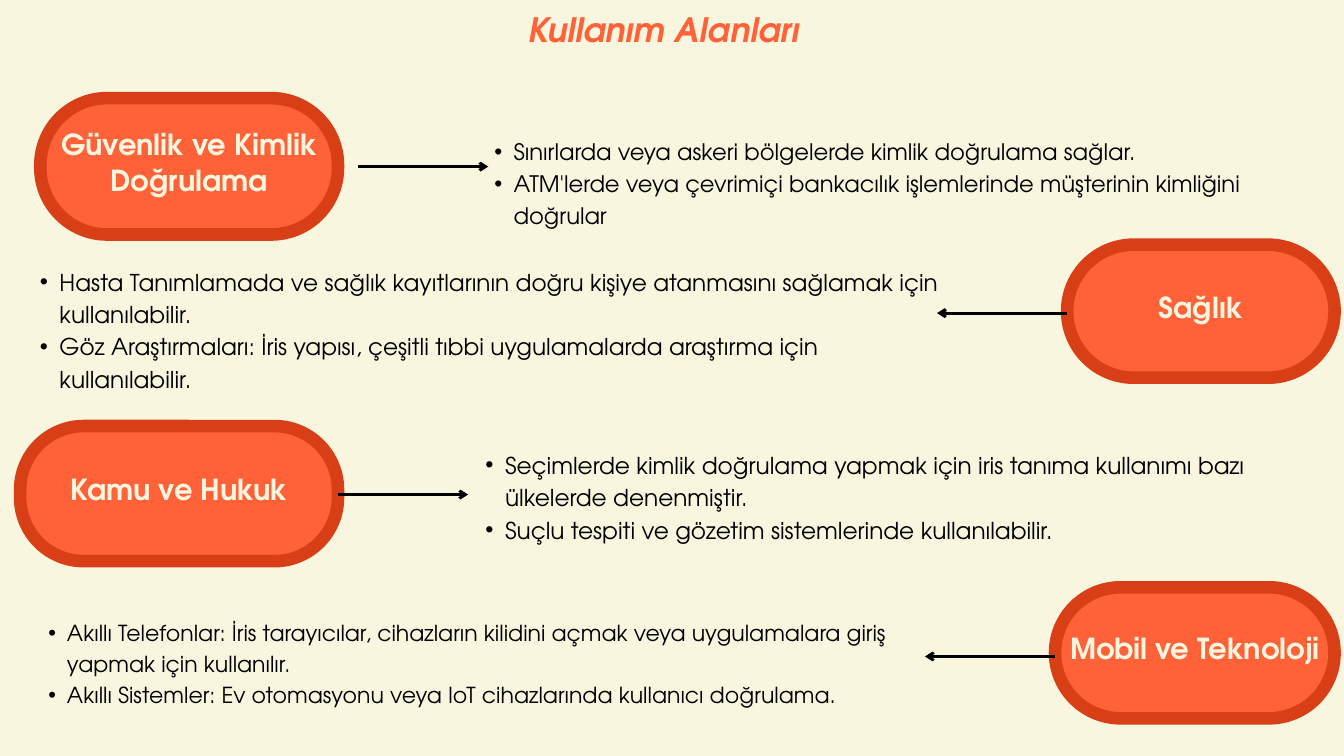
from lxml.etree import SubElement
from pptx import Presentation
from pptx.dml.color import RGBColor
from pptx.enum.shapes import MSO_CONNECTOR, MSO_SHAPE
from pptx.enum.text import MSO_ANCHOR, PP_ALIGN
from pptx.oxml.ns import qn
from pptx.util import Inches, Pt

HUES = {"cream": "F8F6DF", "coral": "FF6238", "rust": "D83F16", "ink": "000000"}
WIDE, HIGH = Inches(20), Inches(11.25)
FACE = "TeX Gyre Adventor"
EDGES = ("margin_left", "margin_top", "margin_right", "margin_bottom")
REACH = 9.68
LIFT = 1.38

AREAS = [
    {"box": (3, 12.98, 22.15, 18.04), "curve": 0.49, "name": "Güvenlik ve Kimlik Doğrulama",
     "side": 1, "gap": 1.5, "drop": 0.04, "list": (35.35, 17.69, 63.1, 8.18), "size": 24.3,
     "items": ["Sınırlarda veya askeri bölgelerde kimlik doğrulama sağlar.",
               "ATM'lerde veya çevrimiçi bankacılık işlemlerinde müşterinin kimliğini doğrular"]},
    {"box": (79.4, 32.36, 19.9, 17.6), "curve": 0.5, "name": "Sağlık",
     "side": -1, "gap": 0, "drop": 0.26, "list": (1.5, 34.84, 68.85, 12.62), "size": 24.8,
     "items": ["Hasta Tanımlamada ve sağlık kayıtlarının doğru kişiye atanmasını sağlamak için kullanılabilir.",
               "Göz Araştırmaları: İris yapısı, çeşitli tıbbi uygulamalarda araştırma için kullanılabilir."]},
    {"box": (1.5, 56.36, 23.65, 17.87), "curve": 0.47, "name": "Kamu ve Hukuk",
     "side": 1, "gap": 0, "drop": 0.12, "list": (34.65, 59.02, 64.65, 16.89), "size": 24.9,
     "items": ["Seçimlerde kimlik doğrulama yapmak için iris tanıma kullanımı bazı ülkelerde denenmiştir.",
               "Suçlu tespiti ve gözetim sistemlerinde kullanılabilir."]},
    {"box": (78.5, 77.69, 20.8, 17.33), "curve": 0.5, "name": "Mobil ve Teknoloji",
     "side": -1, "gap": 0, "drop": 0.48, "list": (2.2, 81.42, 64.85, 16.18), "size": 23.6,
     "items": ["Akıllı Telefonlar: İris tarayıcılar, cihazların kilidini açmak veya uygulamalara giriş yapmak için kullanılır.",
               "Akıllı Sistemler: Ev otomasyonu veya IoT cihazlarında kullanıcı doğrulama."]},
]


def hue(name):
    return RGBColor.from_string(HUES[name])


def place(box):
    x, y, w, h = box
    return [int(part * full / 100) for part, full in zip((x, y, w, h), (WIDE, HIGH) * 2)]


def dress(thing, form):
    for key, val in form.items():
        setattr(thing, key, val)


def frame(shape, inset, anchor):
    dress(shape.text_frame, {"word_wrap": True, "vertical_anchor": anchor,
                             **dict.fromkeys(EDGES, Inches(inset))})
    return shape.text_frame


def write(para, text, size, tint, lead, align=PP_ALIGN.LEFT, **font):
    dress(para, {"alignment": align, "line_spacing": Pt(lead),
                 "space_before": Pt(0), "space_after": Pt(0)})
    run = para.add_run()
    run.text = text
    dress(run.font, {"name": FACE, "size": Pt(size), **font})
    run.font.color.rgb = hue(tint)


def bullet(para, size):
    props = para._p.get_or_add_pPr()
    step = Pt(size * 1.7)
    props.set("marL", str(step))
    props.set("indent", str(-step // 2))
    SubElement(props, qn("a:buFont"), typeface="Arial")
    SubElement(props, qn("a:buChar"), char="•")


def head(slide, box):
    title = slide.shapes.title
    dress(title, dict(zip(("left", "top", "width", "height"), place(box))))
    para = frame(title, 0, MSO_ANCHOR.TOP).paragraphs[0]
    write(para, "Kullanım Alanları", 36, "coral", 36, bold=True, italic=True)


def pill(slide, box, curve, name):
    x, y, w, h = box
    shape = slide.shapes.add_shape(MSO_SHAPE.ROUNDED_RECTANGLE, *place(box))
    shape.adjustments[0] = curve
    shape.shadow.inherit = False
    shape.fill.solid()
    shape.fill.fore_color.rgb = hue("coral")
    shape.line.color.rgb = hue("rust")
    shape.line.width = Pt(13.5)
    label = slide.shapes.add_textbox(*place((x, y - LIFT, w, h + LIFT)))
    para = frame(label, 0.22, MSO_ANCHOR.MIDDLE).paragraphs[0]
    write(para, name, 31, "cream", 38.4, PP_ALIGN.CENTER, bold=True)


def arrow(slide, box, side, gap, drop):
    x, y, w, h = box
    start = x + w + gap if side > 0 else x - gap
    left, top, span, _ = place((start, y + h / 2 + drop, side * REACH, 0))
    line = slide.shapes.add_connector(MSO_CONNECTOR.STRAIGHT, left, top, left + span, top)
    line.line.color.rgb = hue("ink")
    line.line.width = Pt(3)
    SubElement(line.line._get_or_add_ln(), qn("a:tailEnd"), type="arrow", w="med", len="med")
    SubElement(line._element.spPr, qn("a:effectLst"))


def points(slide, box, items, size):
    body = frame(slide.shapes.add_textbox(*place(box)), 0, MSO_ANCHOR.TOP)
    for spot, item in enumerate(items):
        para = body.add_paragraph() if spot else body.paragraphs[0]
        para.level = 1
        bullet(para, size)
        write(para, item, size, "ink", round(size * 1.4, 1))


def main():
    deck = Presentation()
    dress(deck, {"slide_width": WIDE, "slide_height": HIGH})
    slide = deck.slides.add_slide(deck.slide_layouts[5])
    slide.background.fill.solid()
    slide.background.fill.fore_color.rgb = hue("cream")
    head(slide, (39.3, 2.04, 37.7, 13.69))
    for area in AREAS:
        pill(slide, area["box"], area["curve"], area["name"])
        arrow(slide, area["box"], area["side"], area["gap"], area["drop"])
        points(slide, area["list"], area["items"], area["size"])
    deck.save("out.pptx")


if __name__ == "__main__":
    main()
